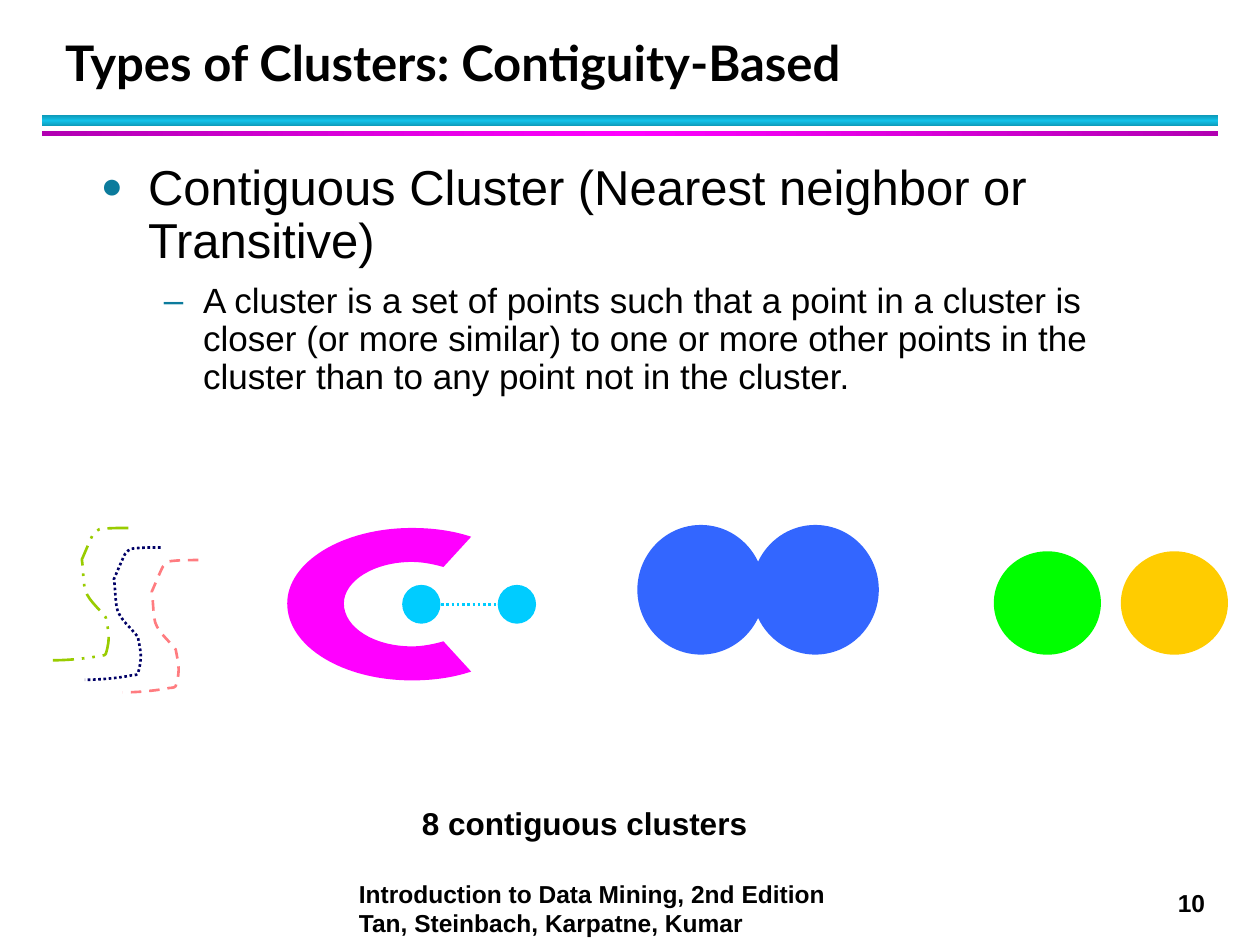
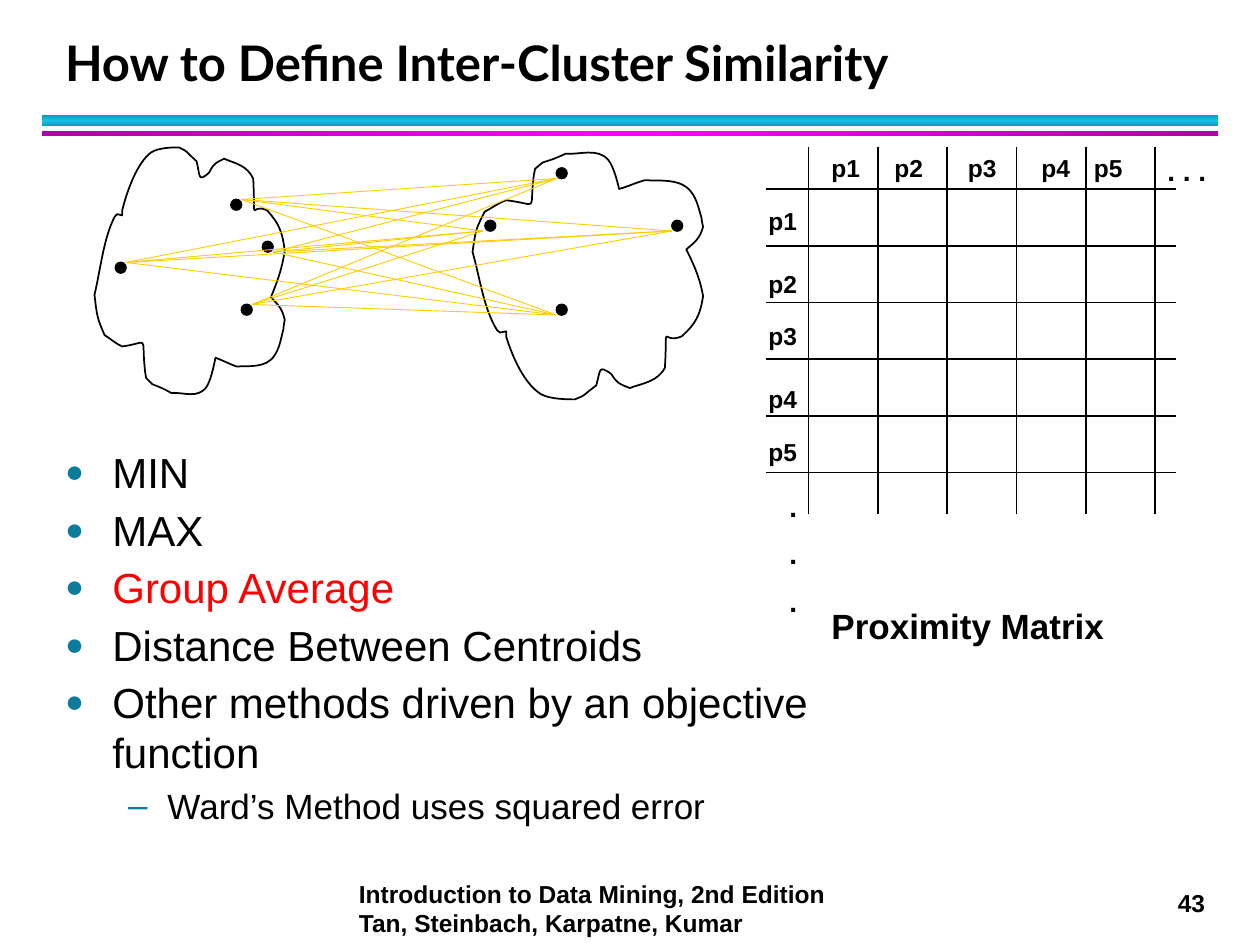
from copy import deepcopy
from dataclasses import dataclass
from itertools import product
from typing import NamedTuple

from lxml.etree import SubElement
from pptx import Presentation
from pptx.dml.color import RGBColor as Rgb
from pptx.enum.dml import MSO_LINE as Dash
from pptx.enum.shapes import MSO_CONNECTOR as Conn, MSO_SHAPE as Kind
from pptx.enum.text import MSO_ANCHOR as Anchor, MSO_AUTO_SIZE as Fit, PP_ALIGN as Align
from pptx.oxml.ns import qn
from pptx.util import Emu, Inches, Pt


@dataclass(frozen=True)
class Theme:
    head: str = "Lato"
    text: str = "Arial"
    ink: str = "000000"
    mark: str = "0C7B9C"
    alert: str = "FF0000"
    gold: str = "FFCC00"
    cyan: str = "00CCFF"
    pink: str = "FF00FF"
    blue: str = "3366FF"
    green: str = "00FF00"
    big: int = 28
    mid: int = 24
    sub: int = 20
    note: int = 18
    dots: int = 16
    small: int = 14


class Box(NamedTuple):
    x: float
    y: float
    w: float
    h: float


class Pos(NamedTuple):
    x: float
    y: float


class Pen(NamedTuple):
    color: str
    width: float = 1
    dash: Dash | None = None


class Disc(NamedTuple):
    box: Box
    color: str


class Band(NamedTuple):
    box: Box
    edge: str
    core: str
    angle: int


class Item(NamedTuple):
    text: str
    size: int
    level: int = 0
    color: str = "000000"


class Frame(NamedTuple):
    x: float = 0
    y: float = 0
    sx: float = 0.12
    sy: float = 0.12


class Mark(NamedTuple):
    char: str
    left: float
    hang: float
    share: int


class Curve(NamedTuple):
    plan: str
    data: tuple[int, ...]


T = Theme()
COLS, ROWS = 120, 90
BLACK = Pen(T.ink)
BANDS = (
    Band(Box(4, 11, 112, 1), "0E9BBA", "12C2E9", 90),
    Band(Box(4, 12.5, 112, 0.5), "B200B2", T.pink, 0),
)
MARKS = (Mark("●", 4.5, -4.5, 75), Mark("–", 9.75, -3.75, 100))

WAVE = Curve("C" * 8, (
    102, 419, 94, 419, 86, 419, 79, 420, 77, 421, 75, 422, 74, 424,
    73, 425, 66, 442, 65, 444, 66, 451, 66, 458, 67, 465,
    68, 475, 78, 482, 84, 490, 86, 501, 88, 506, 84, 519,
    83, 521, 79, 520, 77, 521, 65, 523, 53, 524, 42, 524,
))
ARC = Curve("CCCCLCCCCL", (
    352, 509, 345, 511, 336, 513, 327, 513, 297, 513, 273, 498, 273, 479,
    273, 461, 297, 446, 327, 446, 336, 446, 345, 448, 352, 450,
    374, 426, 359, 421, 343, 419, 327, 419, 272, 419, 228, 446, 228, 479,
    228, 513, 272, 540, 327, 540, 343, 540, 359, 538, 374, 533, 352, 509,
))
CLOUD = Curve("C" * 23, (
    91, 172, 82, 190, 80, 213, 75, 234, 77, 251, 77, 252, 83, 266,
    88, 269, 92, 273, 97, 275, 119, 272, 112, 265, 115, 293,
    115, 296, 116, 298, 116, 300, 123, 307, 119, 304, 126, 307,
    129, 308, 136, 312, 136, 312, 145, 311, 157, 317, 164, 307,
    168, 301, 171, 284, 171, 284, 177, 286, 182, 289, 188, 291,
    196, 290, 211, 293, 218, 282, 222, 276, 223, 269, 225, 261,
    225, 259, 226, 254, 226, 254, 224, 245, 221, 242, 215, 236,
    220, 224, 224, 213, 226, 199, 224, 183, 221, 177, 212, 167,
    198, 160, 203, 182, 201, 142, 196, 131, 187, 130, 178, 126,
    172, 129, 170, 129, 166, 137, 157, 145, 159, 140, 156, 128,
    145, 118, 150, 121, 142, 117, 138, 117, 126, 117, 120, 121,
    109, 129, 101, 151, 97, 167, 97, 171, 93, 170, 91, 172,
))


def cell(n: float) -> Emu:
    return Inches(n / 12)


def place(box: Box) -> list[Emu]:
    return [cell(n) for n in box]


def paint(shape, fill: str | None, pen: Pen | None) -> None:
    shape.shadow.inherit = False
    if fill:
        shape.fill.solid()
        shape.fill.fore_color.rgb = Rgb.from_string(fill)
    else:
        shape.fill.background()
    if pen:
        stroke(shape.line, pen)
    else:
        shape.line.fill.background()


def stroke(line, pen: Pen) -> None:
    line.color.rgb = Rgb.from_string(pen.color)
    line.width = Pt(pen.width)
    if pen.dash:
        line.dash_style = pen.dash


def style(para, size: int, color: str = T.ink, bold: bool = False, face: str = T.text) -> None:
    para.alignment = Align.LEFT
    font = para.font
    font.name, font.size, font.bold = face, Pt(size), bold
    font.color.rgb = Rgb.from_string(color)


def label(slide, box: Box, text: str, size: int, wrap: bool = True):
    shape = slide.shapes.add_textbox(*place(box))
    frame = shape.text_frame
    frame.word_wrap = wrap
    frame.text = text
    for i, para in enumerate(frame.paragraphs):
        para.space_before = Pt(size / 2 if i else 0)
        style(para, size, bold=True)
    return shape


def disc(slide, box: Box, color: str, pen: Pen | None = None) -> None:
    paint(slide.shapes.add_shape(Kind.OVAL, *place(box)), color, pen)


def line(slide, start: Pos, end: Pos, pen: Pen) -> None:
    ends = [cell(n) for n in (*start, *end)]
    link = slide.shapes.add_connector(Conn.STRAIGHT, *ends)
    stroke(link.line, pen)
    SubElement(link._element.spPr, qn("a:effectLst"))


def draw(slide, curve: Curve, frame: Frame, closed: bool, fill: str | None, pen: Pen | None) -> None:
    first, *rest = [(cell(frame.x + u * frame.sx), cell(frame.y + v * frame.sy))
                    for u, v in zip(curve.data[::2], curve.data[1::2])]
    maker = slide.shapes.build_freeform(*first)
    maker.add_line_segments(rest, close=closed)
    shape = maker.convert_to_shape()
    bend(shape, curve.plan)
    paint(shape, fill, pen)


def bend(shape, plan: str) -> None:
    steps = iter(shape._element.spPr.findall(".//" + qn("a:lnTo")))
    for kind in plan:
        step = next(steps)
        if kind == "C":
            step.tag = qn("a:cubicBezTo")
            for spare in (next(steps), next(steps)):
                step.append(spare[0])
                spare.getparent().remove(spare)


def stripe(slide, band: Band):
    shape = slide.shapes.add_shape(Kind.RECTANGLE, *place(band.box))
    paint(shape, None, None)
    shape.fill.gradient()
    shape.fill.gradient_angle = band.angle
    stops = shape._element.spPr.find(".//" + qn("a:gsLst"))
    stops.insert(1, deepcopy(stops[0]))
    tints = (band.edge, band.core, band.edge)
    for stop, tint, at in zip(shape.fill.gradient_stops, tints, (0, 0.5, 1)):
        stop.color.rgb = Rgb.from_string(tint)
        stop.position = at
    return shape


def bullet(para, level: int) -> None:
    mark = MARKS[level]
    para.level = level
    props = para._p.get_or_add_pPr()
    props.set("marL", str(cell(mark.left)))
    props.set("indent", str(cell(mark.hang)))
    SubElement(SubElement(props, qn("a:buClr")), qn("a:srgbClr")).set("val", T.mark)
    SubElement(props, qn("a:buSzPct")).set("val", str(mark.share * 1000))
    SubElement(props, qn("a:buChar")).set("char", mark.char)


def seat(shape, box: Box):
    shape.left, shape.top, shape.width, shape.height = place(box)
    frame = shape.text_frame
    frame.auto_size = Fit.NONE
    frame.word_wrap = True
    return frame


def fill_list(slide, box: Box, items: list[Item], gap: float, before: float, after: float) -> None:
    frame = seat(slide.placeholders[1], box)
    frame.vertical_anchor = Anchor.TOP
    frame.text = "\n".join(item.text for item in items)
    for i, (para, item) in enumerate(zip(frame.paragraphs, items)):
        bullet(para, item.level)
        para.line_spacing = gap
        para.space_before = Pt(before if i else 0)
        para.space_after = Pt(after)
        style(para, item.size, item.color)


def share(slide) -> None:
    parts = [stripe(slide, band) for band in BANDS]
    parts.append(label(
        slide, Box(33, 83.1, 49, 6.8),
        "Introduction to Data Mining, 2nd Edition Tan, Steinbach, Karpatne, Kumar", T.small))
    tree = slide.slide_layout.shapes._spTree
    for part in parts:
        tree.append(part._element)


def start(deck, title: str, page: int):
    slide = deck.slides.add_slide(deck.slide_layouts[1])
    label(slide, Box(111, 84, 5.3, 4), str(page), T.small, wrap=False)
    frame = seat(slide.shapes.title, Box(5, 2.1, 108.75, 7.2))
    frame.vertical_anchor = Anchor.BOTTOM
    frame.text = title
    para = frame.paragraphs[0]
    para.line_spacing = Pt(36)
    style(para, T.big, bold=True, face=T.head)
    return slide


def contiguity(deck) -> None:
    slide = start(deck, "Types of Clusters: Contiguity-Based", 10)
    share(slide)
    fill_list(slide, Box(8.4, 14.9, 105, 67), [
        Item("Contiguous Cluster (Nearest neighbor or Transitive)", T.big),
        Item("A cluster is a set of points such that a point in a cluster is closer "
             "(or more similar) to one or more other points in the cluster than to "
             "any point not in the cluster.", T.sub, 1),
    ], 0.9, 4.4, 4)
    waves = (
        (Frame(), Pen("99CC00", 1.5, Dash.DASH_DOT_DOT)),
        (Frame(3.06, 1.86), Pen("000066", 1.5, Dash.ROUND_DOT)),
        (Frame(6.66, 3.06), Pen("FF7C80", 1.5, Dash.DASH)),
    )
    for frame, pen in waves:
        draw(slide, WAVE, frame, False, None, pen)
    draw(slide, ARC, Frame(), True, T.pink, None)
    discs = (
        Disc(Box(38.3, 55.7, 3.65, 3.7), T.cyan),
        Disc(Box(47.4, 55.7, 3.65, 3.7), T.cyan),
        Disc(Box(94.65, 52.5, 10.2, 9.85), T.green),
        Disc(Box(106.75, 52.5, 10.2, 9.85), T.gold),
        Disc(Box(60.7, 50, 12.1, 12.35), T.blue),
        Disc(Box(71.6, 50, 12.1, 12.35), T.blue),
    )
    for item in discs:
        disc(slide, *item)
    line(slide, Pos(42, 57.6), Pos(47.4, 57.6), Pen(T.cyan, 1.5, Dash.ROUND_DOT))
    label(slide, Box(39, 76, 42, 4.8), "8 contiguous clusters", T.note)


def matrix(slide) -> None:
    for i in range(6):
        x, y = 77 + 6.6 * i, 18 + 5.4 * i
        line(slide, Pos(x, 14), Pos(x, 49), BLACK)
        line(slide, Pos(73, y), Pos(112, y), BLACK)
    spots = zip((78, 84, 91, 98, 103), (19, 25, 30, 36, 41))
    for i, (x, y) in enumerate(spots, 1):
        label(slide, Box(x, 14, 7, 4), f"p{i}", T.small)
        label(slide, Box(72, y, 7, 4), f"p{i}", T.small)
    label(slide, Box(110, 14, 7, 4.4), ". . .", T.dots)
    label(slide, Box(74, 46, 7, 14), ".\n.\n.", T.dots)
    label(slide, Box(78, 57, 33, 5.2), "Proximity Matrix", T.sub)


def similarity(deck) -> None:
    slide = start(deck, "How to Define Inter-Cluster Similarity", 43)
    matrix(slide)
    for frame in (Frame(), Frame(34.1, 52.08, 0.1454, -0.12)):
        draw(slide, CLOUD, frame, True, None, BLACK)
    dots = ((23, 29), (22, 19), (11, 25), (25, 23), (64, 21), (46.2, 21), (53, 29), (53, 16))
    for x, y in dots:
        disc(slide, Box(x, y, 1, 1), T.ink, BLACK)
    left = (Pos(24, 29), Pos(26, 24), Pos(12, 25), Pos(23, 19))
    right = (Pos(53, 30), Pos(46, 22), Pos(53, 17), Pos(64, 22))
    for a, b in product(left, right):
        line(slide, a, b, Pen(T.gold, 0.5))
    fill_list(slide, Box(5, 41.95, 76, 41), [
        Item("MIN", T.mid),
        Item("MAX", T.mid),
        Item("Group Average", T.mid, color=T.alert),
        Item("Distance Between Centroids", T.mid),
        Item("Other methods driven by an objective function", T.mid),
        Item("Ward’s Method uses squared error", T.sub, 1),
    ], 1.0, 2, 2)


def main() -> None:
    deck = Presentation()
    deck.slide_width, deck.slide_height = cell(COLS), cell(ROWS)
    contiguity(deck)
    similarity(deck)
    deck.save("out.pptx")


if __name__ == "__main__":
    main()
